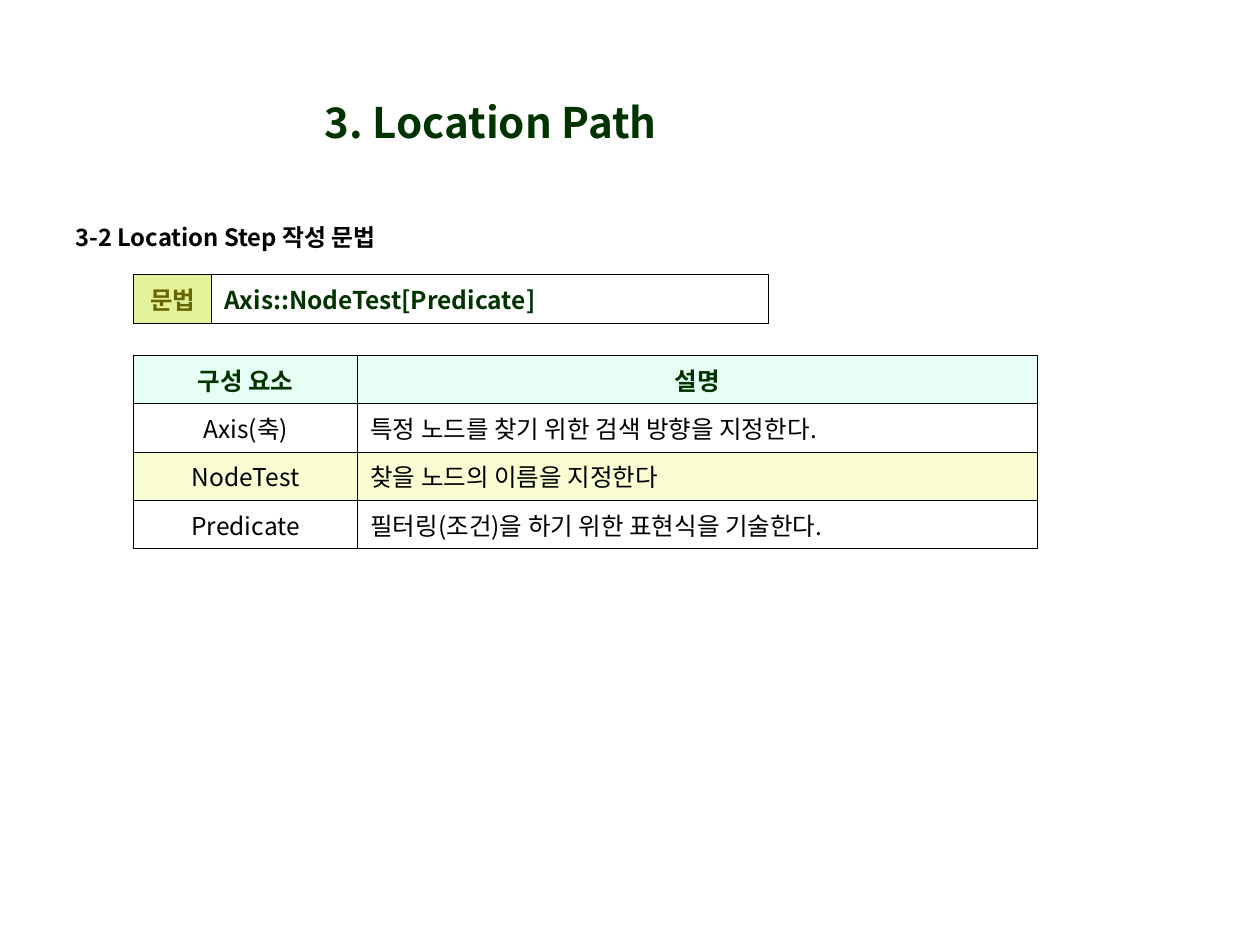
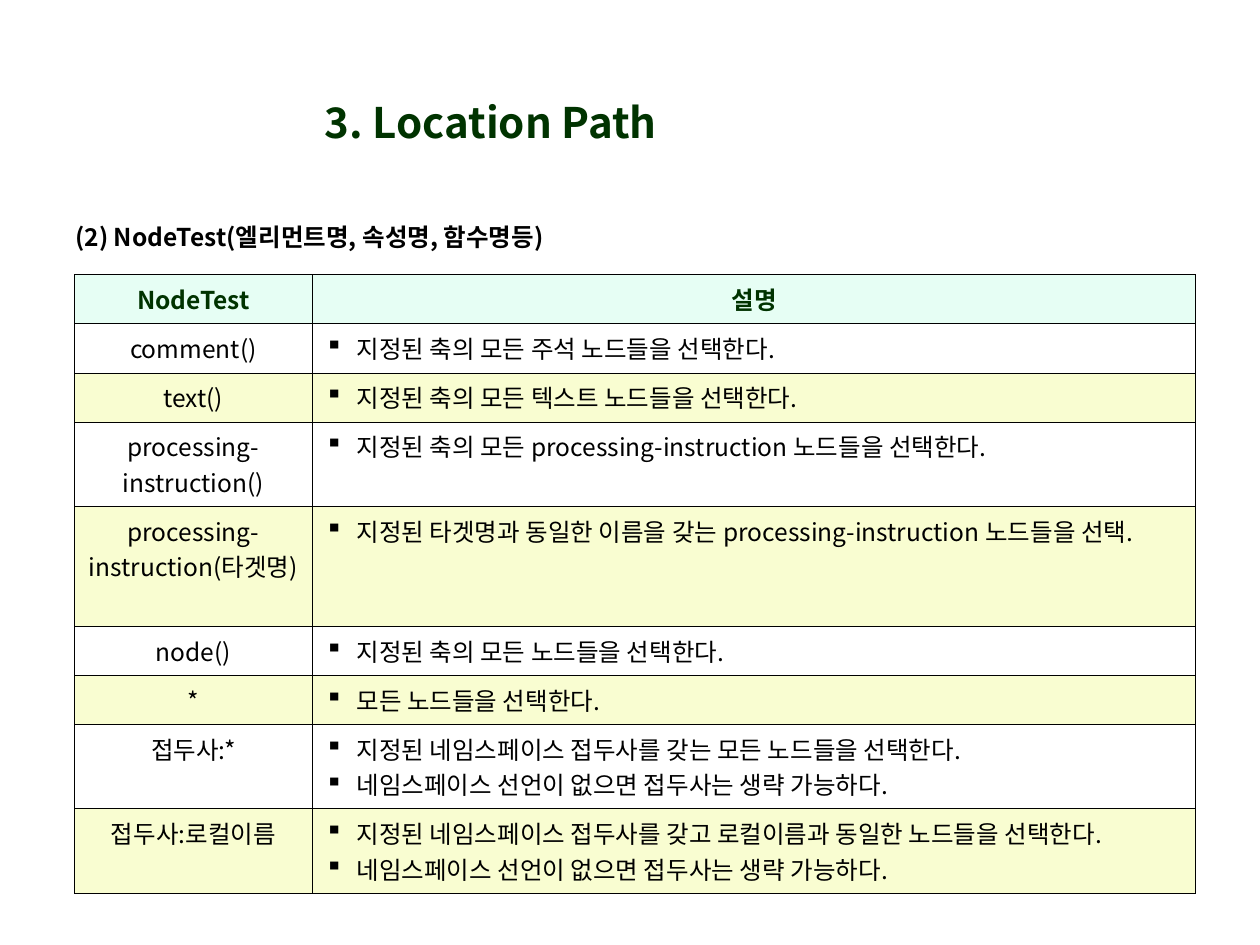
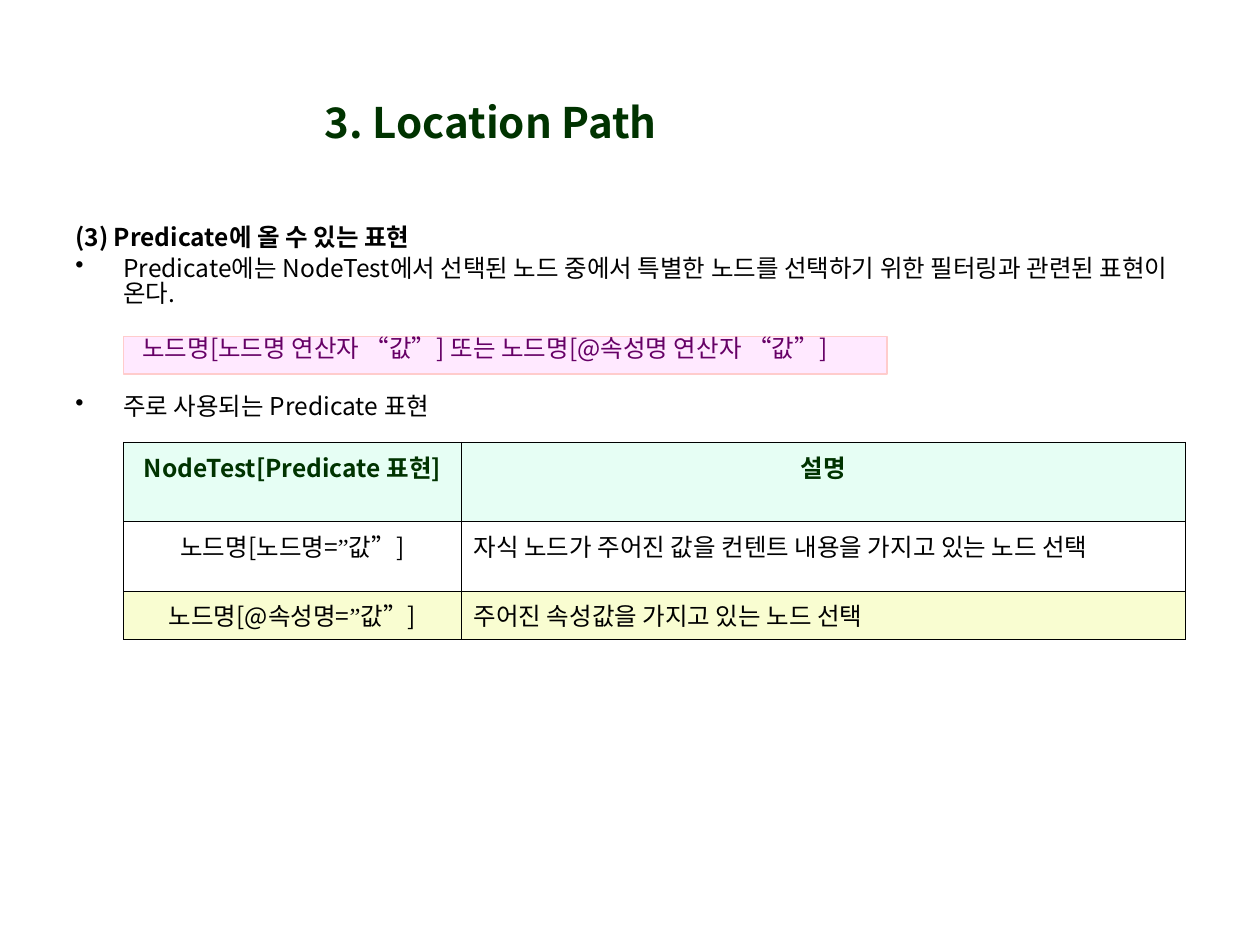
from dataclasses import dataclass, replace
from itertools import groupby

from lxml import etree
from pptx import Presentation
from pptx import util as u
from pptx.dml.color import RGBColor
from pptx.enum import shapes, text
from pptx.oxml.ns import qn

FONT = "Noto Sans CJK KR"
SERIF = "Times New Roman"
BLACK, GREEN, OLIVE, PURPLE = "000000", "003300", "686600", "660066"
MINT, CREAM, LIME, PINK, ROSE = "E6FEF4", "F9FDD1", "E2F39B", "FFE9FF", "FFCCCC"
LEFT, CENTER = text.PP_ALIGN.LEFT, text.PP_ALIGN.CENTER
TOP, MIDDLE = text.MSO_ANCHOR.TOP, text.MSO_ANCHOR.MIDDLE
BORDER = u.Pt(0.45)


@dataclass(frozen=True)
class Style:
    size: float = 14
    color: str = BLACK
    bold: bool = False
    align: text.PP_ALIGN = LEFT
    bullet: str = ""
    indent: float = 0
    line: float = 1
    before: float = 0
    quote_font: str = FONT


@dataclass(frozen=True)
class Box:
    left: float
    top: float
    width: float
    height: float

    def lengths(self) -> list:
        return [u.Inches(v) for v in (self.left, self.top, self.width, self.height)]


@dataclass(frozen=True)
class Cell:
    text: str
    style: Style
    fill: str = ""


@dataclass(frozen=True)
class Grid:
    left: float
    top: float
    cols: list[float]
    heights: list[float]
    rows: list[list[Cell]]


TITLE = Style(24, GREEN, True, CENTER)
HEADING = Style(bold=True, line=0.85)
POINT = Style(bullet="•", indent=0.38, line=0.85, before=3.5)
HEADER = Style(color=GREEN, bold=True, align=CENTER)
NAME = Style(align=CENTER, quote_font=SERIF)
DETAIL = Style()
BULLET_DETAIL = Style(bullet="▪", indent=0.25)
CALLOUT = Style(color=PURPLE, line=0.9)


def rgb(color: str) -> RGBColor:
    return RGBColor.from_string(color)


def assign(obj, values: dict) -> None:
    for name, value in values.items():
        setattr(obj, name, value)


def paint(fill, color: str) -> None:
    if color:
        fill.solid()
        fill.fore_color.rgb = rgb(color)
    else:
        fill.background()


def add_bullet(p, style: Style) -> None:
    pPr = p._p.get_or_add_pPr()
    pPr.set("marL", str(u.Inches(style.indent)))
    pPr.set("indent", str(-u.Inches(style.indent)))
    etree.SubElement(pPr, qn("a:buChar")).set("char", style.bullet)


def write(tf, lines: list[tuple[str, Style]]) -> None:
    for i, (line, style) in enumerate(lines):
        p = tf.add_paragraph() if i else tf.paragraphs[0]
        assign(p, {
            "alignment": style.align,
            "line_spacing": style.line,
            "space_before": u.Pt(style.before if i else 0),
        })
        if style.bullet:
            add_bullet(p, style)
        for quoted, chars in groupby(line, lambda c: c == "”"):
            r = p.add_run()
            r.text = "".join(chars)
            assign(r.font, {
                "name": style.quote_font if quoted else FONT,
                "size": u.Pt(style.size),
                "bold": style.bold,
            })
            r.font.color.rgb = rgb(style.color)
            etree.SubElement(r._r.get_or_add_rPr(), qn("a:ea")).set("typeface", FONT)


def set_frame(tf, anchor=TOP, left=0.1, top=0.05, right=0.1, bottom=0.05) -> None:
    assign(tf, {
        "word_wrap": True,
        "auto_size": text.MSO_AUTO_SIZE.NONE,
        "vertical_anchor": anchor,
        "margin_left": u.Inches(left),
        "margin_top": u.Inches(top),
        "margin_right": u.Inches(right),
        "margin_bottom": u.Inches(bottom),
    })


def place(sp, box: Box) -> None:
    assign(sp, dict(zip(("left", "top", "width", "height"), box.lengths())))


def add_slide(prs):
    s = prs.slides.add_slide(prs.slide_layouts[5])
    sp = s.shapes.title
    place(sp, Box(1.88, 0.34, 4.03, 1.25))
    set_frame(sp.text_frame, MIDDLE)
    write(sp.text_frame, [("3. Location Path", TITLE)])
    return s


def add_text(s, box: Box, lines: list[tuple[str, Style]]) -> None:
    tf = s.shapes.add_textbox(*box.lengths()).text_frame
    set_frame(tf)
    write(tf, lines)


def add_callout(s, box: Box, line: str) -> None:
    sp = s.shapes.add_shape(shapes.MSO_SHAPE.RECTANGLE, *box.lengths())
    sp.shadow.inherit = False
    paint(sp.fill, PINK)
    sp.line.color.rgb = rgb(ROSE)
    sp.line.width = u.Pt(0.75)
    set_frame(sp.text_frame, left=0.15, top=0, right=0.05, bottom=0)
    write(sp.text_frame, [(line, CALLOUT)])


def add_borders(cell) -> None:
    tcPr = cell._tc.get_or_add_tcPr()
    for i, side in enumerate(("lnL", "lnR", "lnT", "lnB")):
        ln = etree.Element(qn(f"a:{side}"), w=str(BORDER))
        solid = etree.SubElement(ln, qn("a:solidFill"))
        etree.SubElement(solid, qn("a:srgbClr")).set("val", BLACK)
        tcPr.insert(i, ln)


def add_grid(s, grid: Grid) -> None:
    box = Box(grid.left, grid.top, sum(grid.cols), sum(grid.heights))
    table = s.shapes.add_table(len(grid.rows), len(grid.cols), *box.lengths()).table
    assign(table, {"first_row": False, "horz_banding": False})
    for col, width in zip(table.columns, grid.cols):
        col.width = u.Inches(width)
    for row, height, items in zip(table.rows, grid.heights, grid.rows):
        row.height = u.Inches(height)
        for cell, item in zip(row.cells, items):
            paint(cell.fill, item.fill)
            add_borders(cell)
            write(cell.text_frame, [(t, item.style) for t in item.text.split("\n")])


def banded(header: list[str], body: list[tuple[str, str]], detail: Style) -> list[list[Cell]]:
    rows = [[Cell(t, HEADER, MINT) for t in header]]
    for i, (name, description) in enumerate(body):
        fill = CREAM if i % 2 else ""
        rows.append([Cell(name, NAME, fill), Cell(description, detail, fill)])
    return rows


def location_step(prs) -> None:
    s = add_slide(prs)
    add_text(s, Box(0.5, 1.75, 8.99, 0.35),
             [("3-2 Location Step 작성 문법", replace(HEADING, size=13.6))])
    syntax = [Cell("문법", replace(HEADER, color=OLIVE), LIME),
              Cell("Axis::NodeTest[Predicate]", replace(HEADER, align=LEFT))]
    add_grid(s, Grid(1.06, 2.18, [0.62, 4.42], [0.38], [syntax]))
    parts = [
        ("Axis(축)", "특정 노드를 찾기 위한 검색 방향을 지정한다."),
        ("NodeTest", "찾을 노드의 이름을 지정한다"),
        ("Predicate", "필터링(조건)을 하기 위한 표현식을 기술한다."),
    ]
    add_grid(s, Grid(1.06, 2.82, [1.78, 5.39], [0.38] * 4,
                     banded(["구성 요소", "설명"], parts, DETAIL)))


def node_test(prs) -> None:
    s = add_slide(prs)
    add_text(s, Box(0.5, 1.75, 9.07, 0.35),
             [("(2) NodeTest(엘리먼트명, 속성명, 함수명등)", HEADING)])
    optional = "네임스페이스 선언이 없으면 접두사는 생략 가능하다."
    tests = [
        ("comment()", "지정된 축의 모든 주석 노드들을 선택한다."),
        ("text()", "지정된 축의 모든 텍스트 노드들을 선택한다."),
        ("processing-instruction()",
         "지정된 축의 모든 processing-instruction 노드들을 선택한다."),
        ("processing-\ninstruction(타겟명)",
         "지정된 타겟명과 동일한 이름을 갖는 processing-instruction 노드들을 선택."),
        ("node()", "지정된 축의 모든 노드들을 선택한다."),
        ("*", "모든 노드들을 선택한다."),
        ("접두사:*",
         f"지정된 네임스페이스 접두사를 갖는 모든 노드들을 선택한다.\n{optional}"),
        ("접두사:로컬이름",
         f"지정된 네임스페이스 접두사를 갖고 로컬이름과 동일한 노드들을 선택한다.\n{optional}"),
    ]
    one, two, three = 0.39, 0.67, 0.95
    heights = [one] * 3 + [two, three] + [one] * 2 + [two] * 2
    add_grid(s, Grid(0.59, 2.18, [1.89, 7.01], heights,
                     banded(["NodeTest", "설명"], tests, BULLET_DETAIL)))


def predicate(prs) -> None:
    s = add_slide(prs)
    add_text(s, Box(0.5, 1.75, 9.07, 0.9), [
        ("(3) Predicate에 올 수 있는 표현", HEADING),
        ("Predicate에는 NodeTest에서 선택된 노드 중에서 특별한 노드를 선택하기 위한 "
         "필터링과 관련된 표현이 온다.", POINT),
    ])
    add_text(s, Box(0.5, 3.09, 9.07, 0.35), [("주로 사용되는 Predicate 표현", POINT)])
    add_callout(s, Box(0.98, 2.67, 6.06, 0.3),
                "노드명[노드명 연산자 “값”] 또는 노드명[@속성명 연산자 “값”]")
    expressions = [
        ("노드명[노드명=”값”]", "자식 노드가 주어진 값을 컨텐트 내용을 가지고 있는 노드 선택"),
        ("노드명[@속성명=”값”]", "주어진 속성값을 가지고 있는 노드 선택"),
    ]
    add_grid(s, Grid(0.98, 3.51, [2.68, 5.75], [0.63, 0.55, 0.38],
                     banded(["NodeTest[Predicate 표현]", "설명"], expressions, DETAIL)))


def main() -> None:
    prs = Presentation()
    assign(prs, {"slide_width": u.Inches(10), "slide_height": u.Inches(7.5)})
    for build in (location_step, node_test, predicate):
        build(prs)
    prs.save("out.pptx")


if __name__ == "__main__":
    main()
